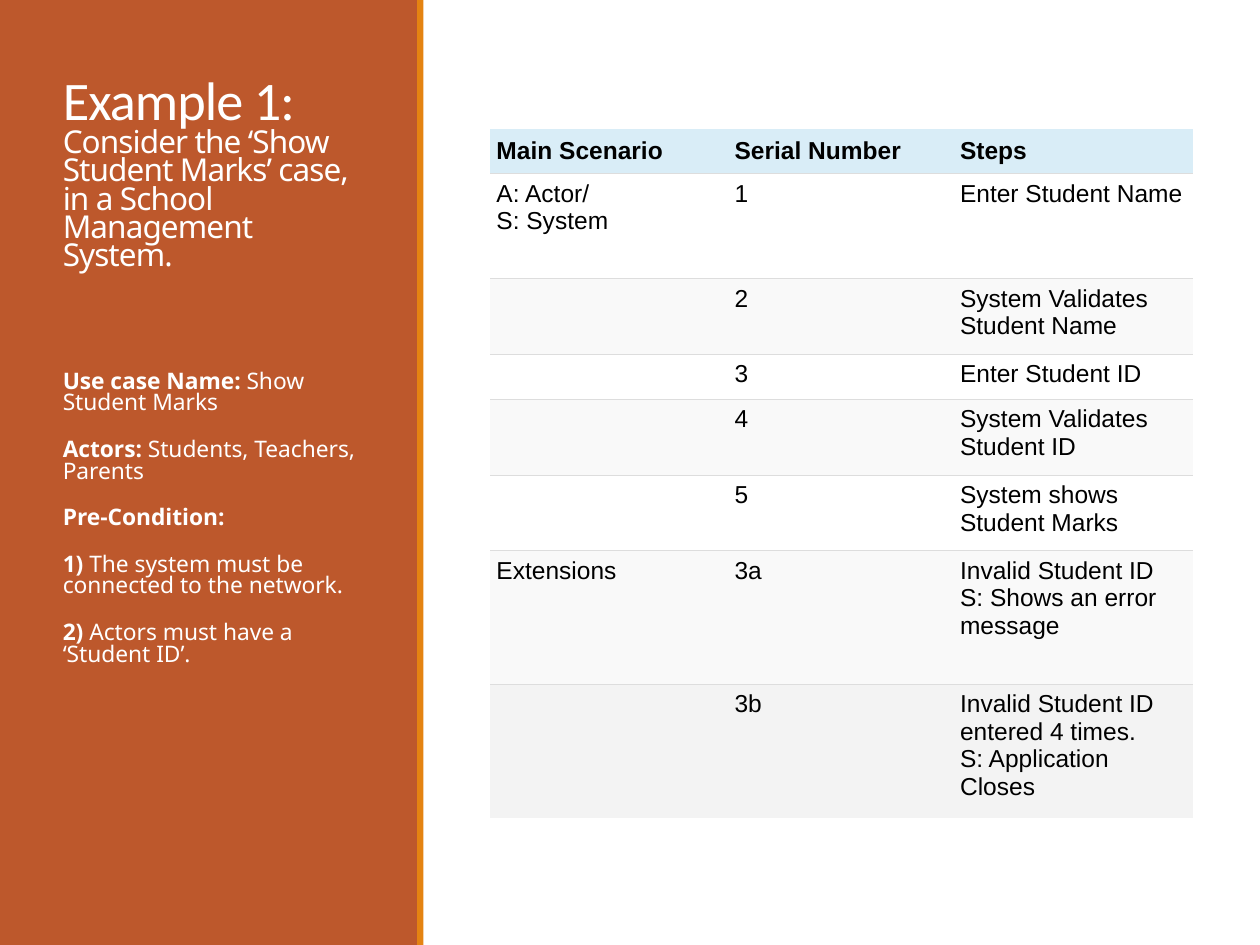
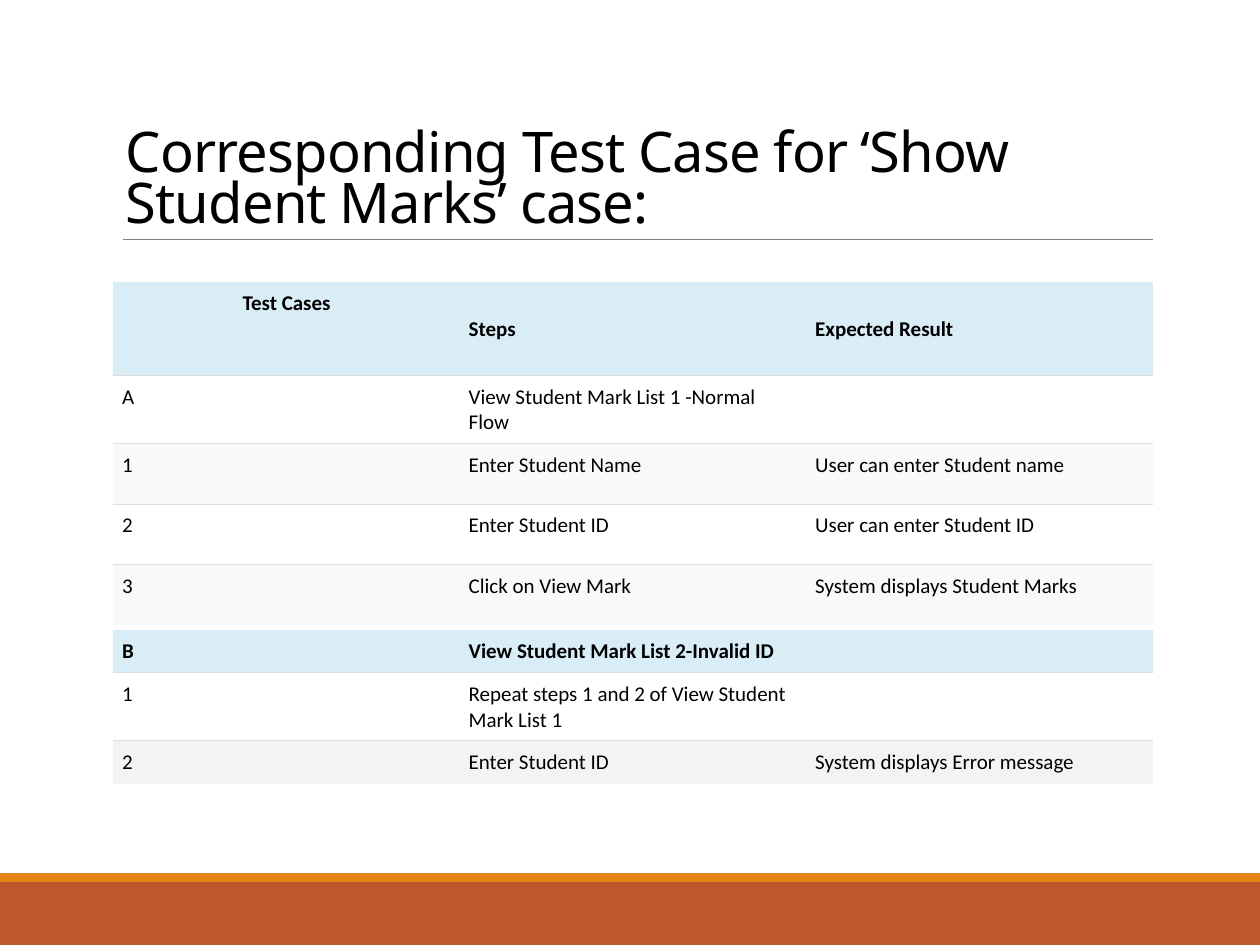
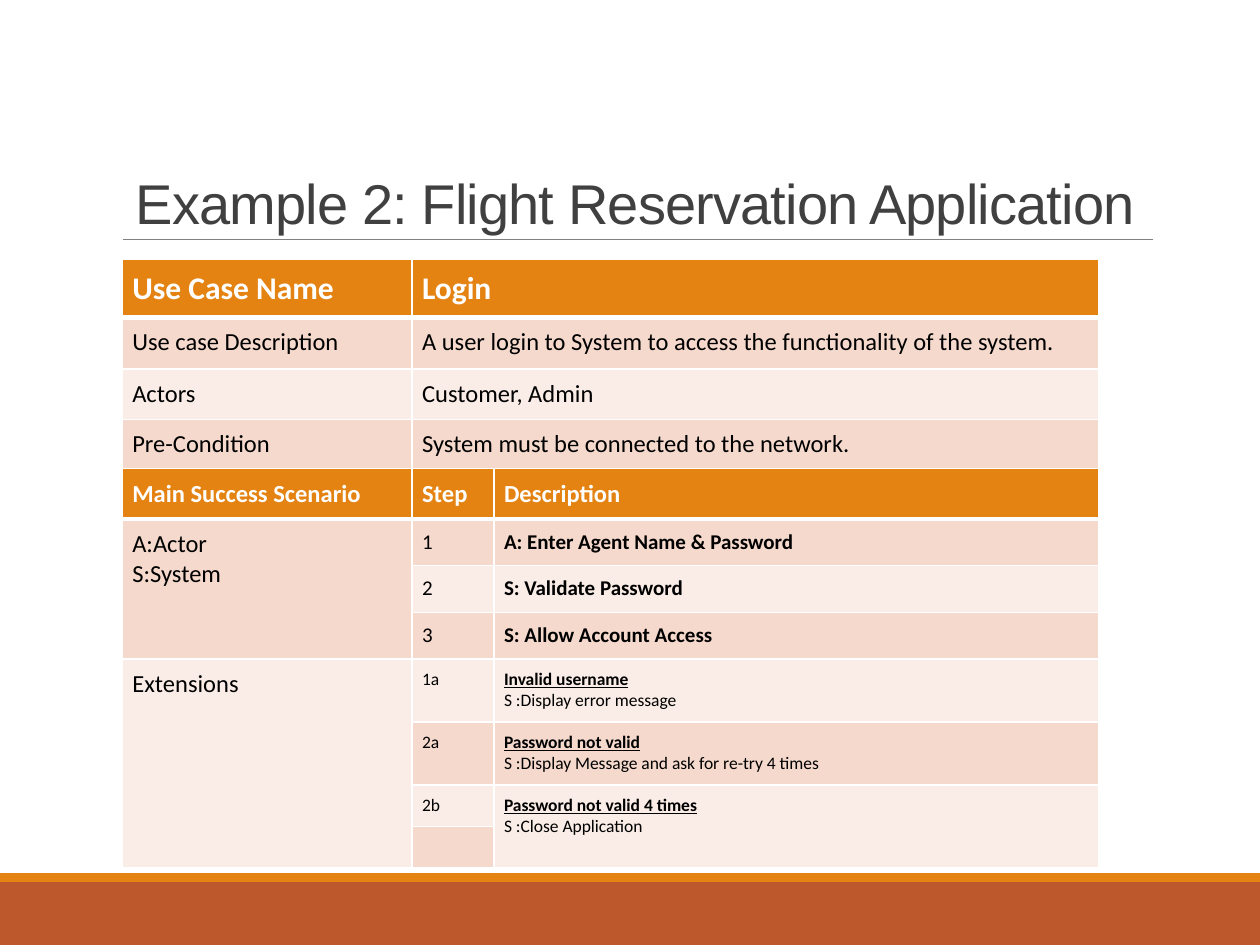
from lxml import etree
from pptx import Presentation
from pptx.dml.color import RGBColor
from pptx.enum.shapes import MSO_CONNECTOR, MSO_SHAPE
from pptx.enum.text import MSO_ANCHOR, PP_ALIGN
from pptx.oxml.ns import qn
from pptx.util import Inches, Pt

RECT, STRAIGHT = MSO_SHAPE.RECTANGLE, MSO_CONNECTOR.STRAIGHT
TOP, MIDDLE, BOTTOM = MSO_ANCHOR.TOP, MSO_ANCHOR.MIDDLE, MSO_ANCHOR.BOTTOM
CENTER = PP_ALIGN.CENTER

# Shared look
W, H = 10, 7.5
RUST, ORANGE, GREY, WHITE, BLACK = "BD582C", "E48312", "808080", "FFFFFF", "000000"
BLUE, STRIPE, LAST, RULE = "D9EDF7", "F9F9F9", "F3F3F3", "DDDDDD"
PEACH, PALE = "F5D9CC", "FAEDE7"
NO_STYLE = "{2D5ABB26-0587-4C30-8999-92F81FD0307C}"
BOLD = {"bold": True}
HEADING = {"bold": True, "underline": True}

# Slide 1 content
CASE_TITLE = [
    ("Example 1:\n", {"size": 31, "font": "Calibri"}),
    ("Consider the ‘Show Student Marks’ case, in a School Management System.", {}),
]
CASE_FACTS = [
    ("Use case Name:", " Show Student Marks"),
    ("Actors:", " Students, Teachers, Parents"),
    ("Pre-Condition:", ""),
    ("1)", " The system must be connected to the network."),
    ("2)", " Actors must have a ‘Student ID’."),
]
# Table rows: height, fill, row format, cells
SCENARIO = [
    (0.36, BLUE, BOLD, ["Main Scenario", "Serial Number", "Steps"]),
    (0.83, WHITE, {}, ["A: Actor/\nS: System", "1", "Enter Student Name"]),
    (0.6, STRIPE, {}, ["", "2", "System Validates Student Name"]),
    (0.36, WHITE, {}, ["", "3", "Enter Student ID"]),
    (0.6, STRIPE, {}, ["", "4", "System Validates Student ID"]),
    (0.6, WHITE, {}, ["", "5", "System shows Student Marks"]),
    (1.06, STRIPE, {}, ["Extensions", "3a",
                        "Invalid Student ID\nS: Shows an error message"]),
    (1.06, LAST, {}, ["", "3b",
                      "Invalid Student ID entered 4 times.\nS: Application Closes"]),
]

# Slide 2 content
TEST_TITLE = "Corresponding Test Case for ‘Show Student Marks’ case:"
NORMAL_FLOW = [
    (0.74, BLUE, BOLD, ["Test Cases", "Steps", "Expected Result"]),
    (0.54, WHITE, {}, ["A", "View Student Mark List 1 -Normal Flow", ""]),
    (0.48, STRIPE, {}, ["1", "Enter Student Name", "User can enter Student name"]),
    (0.48, WHITE, {}, ["2", "Enter Student ID", "User can enter Student ID"]),
    (0.48, STRIPE, {}, ["3", "Click on View Mark", "System displays Student Marks"]),
]
INVALID_ID = [
    (0.34, BLUE, BOLD, ["B", "View Student Mark List 2-Invalid ID", ""]),
    (0.54, WHITE, {}, ["1", "Repeat steps 1 and 2 of View Student Mark List 1", ""]),
    (0.34, LAST, {}, ["2", "Enter Student ID", "System displays Error message"]),
]

# Slide 3 content
FLIGHT_TITLE = "Example 2: Flight Reservation Application"
LOGIN = [
    (0.46, ORANGE, {"size": 18, "color": WHITE, "bold": True}, ["Use Case Name", "Login"]),
    (0.41, PEACH, {}, ["Use case Description",
                       "A user login to System to access the functionality of the system."]),
    (0.4, PALE, {}, ["Actors", "Customer, Admin"]),
    (0.4, PEACH, {}, ["Pre-Condition", "System must be connected to the network."]),
]
MID, SMALL, LARGE = {"size": 12}, {"size": 10}, {"size": 14}
LOGIN_STEPS = [
    (0.4, ORANGE, {"color": WHITE, "bold": True},
     ["Main Success Scenario", "Step", "Description"]),
    (0.37, PEACH, MID, [[("A:Actor\nS:System", LARGE)], "1",
                        [("A: Enter Agent Name & Password", BOLD)]]),
    (0.37, PALE, MID, ["", "2", [("S: Validate Password", BOLD)]]),
    (0.37, PEACH, MID, ["", "3", [("S: Allow Account Access", BOLD)]]),
    (0.5, PALE, SMALL, [[("Extensions", LARGE)], "1a",
                        [("Invalid username\n", HEADING), ("S :Display error message", {})]]),
    (0.5, PEACH, SMALL, ["", "2a",
                         [("Password not valid\n", HEADING),
                          ("S :Display Message and ask for re-try 4 times", {})]]),
    (0.33, PALE, SMALL, ["", "2b",
                         [("Password not valid 4 times\n", HEADING),
                          ("S :Close Application", {})]]),
    (0.33, PEACH, SMALL, ["", "", ""]),
]
STEP_MERGES = [((1, 0), (3, 0)), ((4, 0), (7, 0)), ((6, 2), (7, 2))]


def rgb(value):
    return RGBColor.from_string(value)


def write(p, text, font="Calibri", size=14, color=BLACK, bold=False, underline=False,
          spacing=None):
    """Add text to a paragraph; each newline becomes a line break."""
    for i, line in enumerate(text.split("\n")):
        if i:
            p.add_line_break()
        if not line:
            continue
        r = p.add_run()
        r.text = line
        f = r.font
        f.name, f.size, f.bold, f.underline = font, Pt(size), bold, underline
        f.color.rgb = rgb(color)
        if spacing is not None:
            r._r.get_or_add_rPr().set("spc", str(spacing))


def write_runs(p, content, **fmt):
    runs = [(content, {})] if isinstance(content, str) else content
    for text, extra in runs:
        write(p, text, **{**fmt, **extra})


def text_box(slide, box, anchor=TOP, insets=(0.1, 0.05, 0.1, 0.05)):
    tf = slide.shapes.add_textbox(*map(Inches, box)).text_frame
    tf.word_wrap = True
    tf.vertical_anchor = anchor
    tf.margin_left, tf.margin_top, tf.margin_right, tf.margin_bottom = map(Inches, insets)
    return tf


def title(slide, box, content, anchor=BOTTOM, leading=0.75, **fmt):
    inset = {TOP: (0.1, 0.08, 0.1, 0.05), BOTTOM: (0.1, 0.05, 0.1, 0.05)}[anchor]
    p = text_box(slide, box, anchor, inset).paragraphs[0]
    p.line_spacing = leading
    write_runs(p, content, spacing=-50, **fmt)


def band(slide, box, color):
    sp = slide.shapes.add_shape(RECT, *map(Inches, box))
    sp.shadow.inherit = False
    sp.fill.solid()
    sp.fill.fore_color.rgb = rgb(color)
    sp.line.fill.background()


def frame(slide):
    """Footer bands and the rule under the title."""
    band(slide, (0, 7, W, 0.5), RUST)
    band(slide, (0, 6.93, W, 0.07), ORANGE)
    line = slide.shapes.add_connector(STRAIGHT, *map(Inches, (0.98, 1.9, 9.15, 1.9)))
    line.line.color.rgb = rgb(GREY)
    line.line.width = Pt(0.5)
    etree.SubElement(line._element.spPr, qn("a:effectLst"))


def border(cell, side, color, width):
    ln = etree.SubElement(cell._tc.get_or_add_tcPr(), qn("a:ln" + side), w=str(Pt(width)))
    fill = etree.SubElement(ln, qn("a:solidFill"))
    etree.SubElement(fill, qn("a:srgbClr"), val=color)


def ruled(row, last):
    """Thin grey lines between the rows."""
    edges = [("T", RULE, 0.6)] if row else []
    return edges + ([("B", RULE, 0.6)] if row < last else [])


def boxed(row, last):
    """White lines all round, heavier under the header."""
    edges = [(side, WHITE, 1) for side in "LR"]
    return edges + [("T", WHITE, 3 if row == 1 else 1), ("B", WHITE, 1 if row else 3)]


def table(slide, left, top, cols, rows, inset, edges, merges=(), **fmt):
    height = sum(row[0] for row in rows)
    tbl = slide.shapes.add_table(len(rows), len(cols), *map(
        Inches, (left, top, sum(cols), height))).table
    tbl._tbl.tblPr.find(qn("a:tableStyleId")).text = NO_STYLE
    for c, width in enumerate(cols):
        tbl.columns[c].width = Inches(width)
    for r, (row_height, fill, row_fmt, contents) in enumerate(rows):
        tbl.rows[r].height = Inches(row_height)
        look = {**fmt, **row_fmt}
        for c, content in enumerate(contents):
            cell = tbl.cell(r, c)
            cell.margin_left = cell.margin_right = Inches(inset)
            cell.margin_top = cell.margin_bottom = Inches(inset)
            cell.vertical_anchor = TOP if r else MIDDLE
            for edge in edges(r, len(rows) - 1):
                border(cell, *edge)
            cell.fill.solid()
            cell.fill.fore_color.rgb = rgb(fill)
            p = cell.text_frame.paragraphs[0]
            if content:
                write_runs(p, content, **look)
            else:
                p._p.get_or_add_endParaRPr().set("sz", str(look["size"] * 100))
    for first, last in merges:
        tbl.cell(*first).merge(tbl.cell(*last))
    return tbl


def use_case_slide(slide):
    band(slide, (0, 0, 3.32, H), RUST)
    title(slide, (0.4, 0.57, 2.53, 2.3), CASE_TITLE, TOP,
          font="Noto Sans", size=18, color=WHITE)
    tf = text_box(slide, (0.4, 2.9, 2.53, 4.35), insets=(0.1, 0.05, 0, 0.05))
    for i, (label, detail) in enumerate(CASE_FACTS):
        p = tf.add_paragraph() if i else tf.paragraphs[0]
        p.line_spacing, p.space_after = 0.8, Pt(2)
        if i:
            p.space_before = Pt(12)
        write_runs(p, [(label, BOLD), (detail, {})], font="Noto Sans", size=13, color=WHITE)
    band(slide, (3.31, 0, 0.05, H), ORANGE)
    table(slide, 3.89, 1.02, (1.89, 1.79, 1.9), SCENARIO, 0.05, ruled, font="Arial", size=14)


def test_case_slide(slide):
    frame(slide)
    title(slide, (0.9, 0.31, 8.25, 1.59), TEST_TITLE, font="Noto Sans", size=32)
    cols = [8.25 / 3] * 3
    tbl = table(slide, 0.9, 2.24, cols, NORMAL_FLOW, 0.07, ruled, size=12)
    corner = tbl.cell(0, 0)
    corner.vertical_anchor = TOP
    corner.text_frame.paragraphs[0].alignment = CENTER
    table(slide, 0.9, 5, cols, INVALID_ID, 0.07, ruled, size=12)


def flight_slide(slide):
    frame(slide)
    title(slide, (0.98, 0.67, 9, 1.25), FLIGHT_TITLE, leading=0.85,
          font="Arial", size=32, color="404040")
    table(slide, 0.97, 2.06, (2.3, 5.45), LOGIN, 0.08, boxed, size=14)
    table(slide, 0.97, 3.72, (2.3, 0.65, 4.8), LOGIN_STEPS, 0.08, boxed, STEP_MERGES, size=14)


def main():
    prs = Presentation()
    prs.slide_width, prs.slide_height = Inches(W), Inches(H)
    for build in (use_case_slide, test_case_slide, flight_slide):
        build(prs.slides.add_slide(prs.slide_layouts[6]))
    prs.save("out.pptx")


if __name__ == "__main__":
    main()
